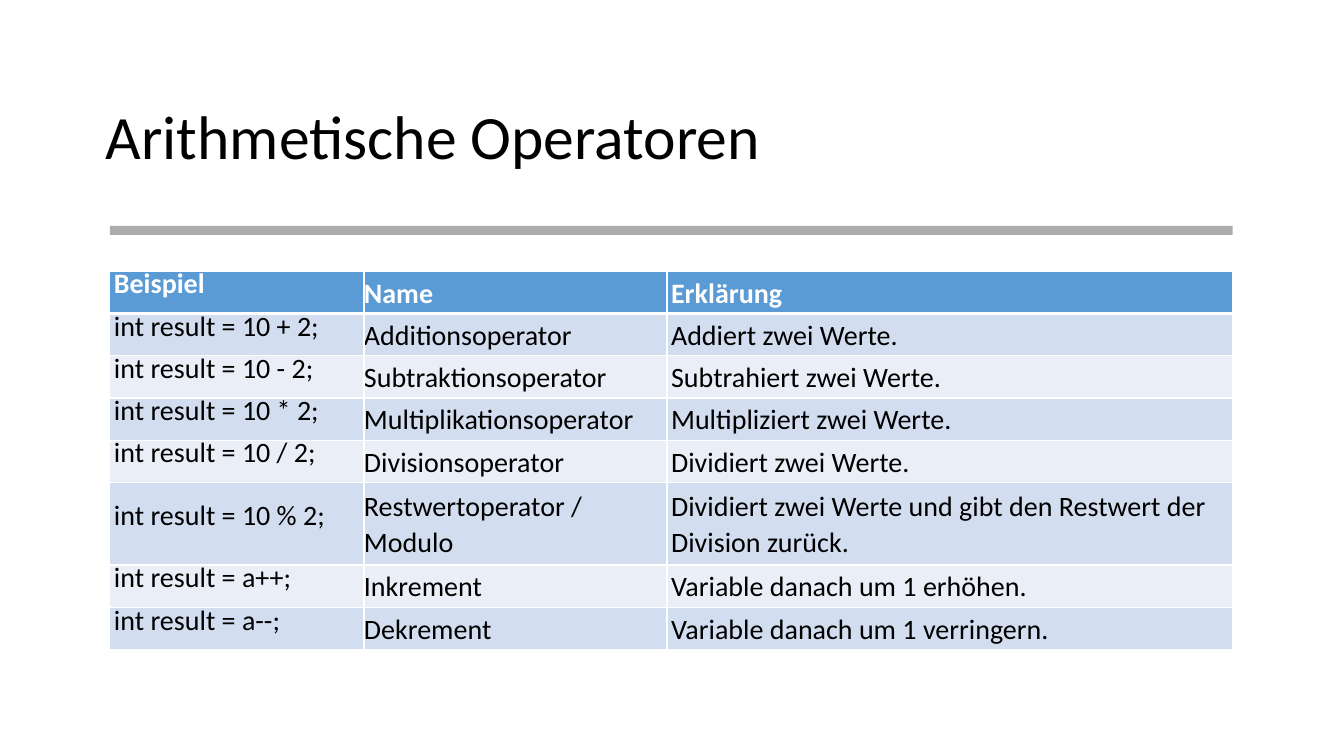
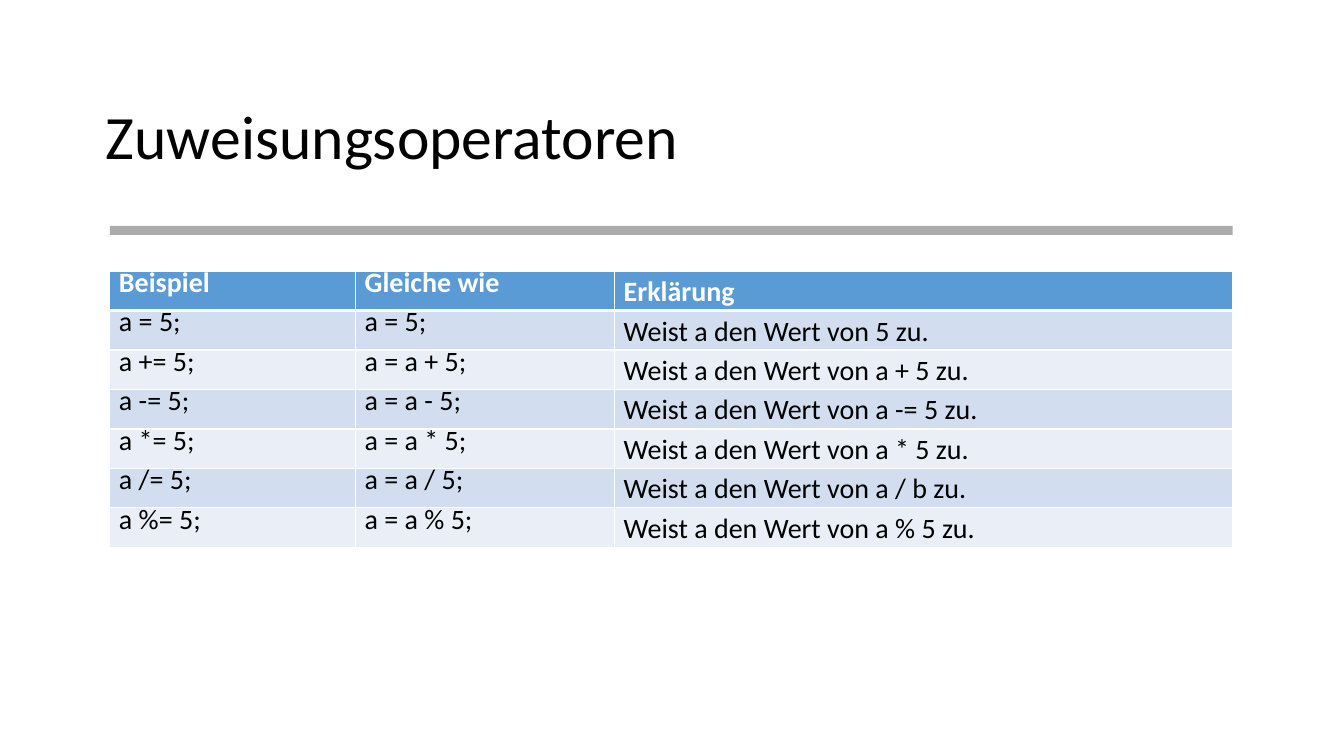
from dataclasses import dataclass
from lxml.etree import SubElement
from pptx import Presentation
from pptx.dml.color import RGBColor
from pptx.enum.shapes import MSO_SHAPE
from pptx.enum.text import MSO_ANCHOR, MSO_AUTO_SIZE, PP_ALIGN
from pptx.oxml.ns import qn
from pptx.util import Pt


@dataclass(frozen=True)
class Theme:
    font: str = "Calibri"
    ink: str = "000000"
    white: str = "FFFFFF"
    head: str = "5B9BD5"
    bands: tuple = ("D2DEEF", "EAEFF7")
    bar: str = "808080"
    alpha: int = 65
    title: int = 44
    text: int = 20
    thin: int = 1
    thick: int = 3


@dataclass(frozen=True)
class Box:
    left: float
    top: float
    width: float
    height: float

    def pts(self):
        return [Pt(v) for v in (self.left, self.top, self.width, self.height)]


THEME = Theme()
PAGE = Box(0, 0, 960, 540)
TITLE = Box(68.4, 47.5, 823, 104.4)
BAR = Box(78.5, 161.3, 802, 6.5)
GRID = Box(78.5, 193.7, 802, 0)

# Paragraph styles: code lines are set tight, prose lines loose
CODE = {"line_spacing": Pt(13), "space_after": Pt(1)}
PROSE = {"line_spacing": 1.07, "space_after": Pt(0)}

SLIDES = [
    {
        "title": "Arithmetische Operatoren",
        "cols": [181.5, 216.5, 404],
        "heights": [30.2] * 5 + [59] + [30.2] * 2,
        "pads": [2.9, 0, 2.9],
        "styles": [CODE, PROSE, PROSE],
        "rows": [
            ("Beispiel", "Name", "Erklärung"),
            ("int result = 10 + 2;", "Additionsoperator", "Addiert zwei Werte."),
            ("int result = 10 - 2;", "Subtraktionsoperator", "Subtrahiert zwei Werte."),
            ("int result = 10 * 2;", "Multiplikationsoperator", "Multipliziert zwei Werte."),
            ("int result = 10 / 2;", "Divisionsoperator", "Dividiert zwei Werte."),
            ("int result = 10 % 2;", "Restwertoperator / Modulo",
             "Dividiert zwei Werte und gibt den Restwert der Division zurück."),
            ("int result = a++;", "Inkrement", "Variable danach um 1 erhöhen."),
            ("int result = a--;", "Dekrement", "Variable danach um 1 verringern."),
        ],
    },
    {
        "title": "Zuweisungsoperatoren",
        "cols": [175.5, 185, 441.5],
        "heights": [28.2] * 7,
        "pads": [6.5] * 3,
        "styles": [CODE, CODE, PROSE],
        "rows": [
            ("Beispiel", "Gleiche wie", "Erklärung"),
            ("a = 5;", "a = 5;", "Weist a den Wert von 5 zu."),
            ("a += 5;", "a = a + 5;", "Weist a den Wert von a + 5 zu."),
            ("a -= 5;", "a = a - 5;", "Weist a den Wert von a -= 5 zu."),
            ("a *= 5;", "a = a * 5;", "Weist a den Wert von a * 5 zu."),
            ("a /= 5;", "a = a / 5;", "Weist a den Wert von a / b zu."),
            ("a %= 5;", "a = a % 5;", "Weist a den Wert von a % 5 zu."),
        ],
    },
]


def apply(item, values):
    for name, value in values.items():
        setattr(item, name, value)


def paint(fill, color):
    fill.solid()
    fill.fore_color.rgb = RGBColor.from_string(color)


def write(frame, text, size, color, style, bold=False):
    para = frame.paragraphs[0]
    apply(para, {"alignment": PP_ALIGN.LEFT, **style})
    run = para.add_run()
    run.text = text
    apply(run.font, {"name": THEME.font, "size": Pt(size), "bold": bold})
    run.font.color.rgb = RGBColor.from_string(color)


def edge(cell, widths):
    props = cell._tc.get_or_add_tcPr()
    for side, width in widths.items():
        line = SubElement(props, qn(f"a:ln{side}"), w=str(Pt(width)))
        fill = SubElement(line, qn("a:solidFill"))
        SubElement(fill, qn("a:srgbClr"), val=THEME.white)


def add_title(slide, box, text):
    shape = slide.shapes.title
    apply(shape, dict(zip(("left", "top", "width", "height"), box.pts())))
    frame = shape.text_frame
    apply(frame, {"word_wrap": True, "auto_size": MSO_AUTO_SIZE.NONE,
                  "vertical_anchor": MSO_ANCHOR.MIDDLE})
    write(frame, text, THEME.title, THEME.ink, {"line_spacing": 0.9})


def add_bar(slide, box):
    bar = slide.shapes.add_shape(MSO_SHAPE.RECTANGLE, *box.pts())
    bar.shadow.inherit = False
    bar.line.fill.background()
    paint(bar.fill, THEME.bar)
    color = bar.fill._xPr.find(f".//{qn('a:srgbClr')}")
    SubElement(color, qn("a:alpha"), val=str(THEME.alpha * 1000))


def add_cell(cell, text, row, pad, style):
    head = row == 0
    apply(cell, {"margin_left": Pt(pad), "margin_right": Pt(pad),
                 "margin_top": 0, "margin_bottom": 0,
                 "vertical_anchor": MSO_ANCHOR.MIDDLE})
    # The rule under the header is shared by the first two rows
    edge(cell, {"L": THEME.thin, "R": THEME.thin,
                "T": THEME.thick if row == 1 else THEME.thin,
                "B": THEME.thick if head else THEME.thin})
    paint(cell.fill, THEME.head if head else THEME.bands[(row - 1) % 2])
    write(cell.text_frame, text, THEME.text,
          THEME.white if head else THEME.ink, style, head)


def add_grid(slide, box, data):
    rows, cols, heights = data["rows"], data["cols"], data["heights"]
    area = Box(box.left, box.top, box.width, sum(heights))
    table = slide.shapes.add_table(len(rows), len(cols), *area.pts()).table
    for col, width in zip(table.columns, cols):
        col.width = Pt(width)
    for row, height in zip(table.rows, heights):
        row.height = Pt(height)
    for r, texts in enumerate(rows):
        for c, text in enumerate(texts):
            add_cell(table.cell(r, c), text, r, data["pads"][c], data["styles"][c])


def add_page(deck, data):
    slide = deck.slides.add_slide(deck.slide_layouts.get_by_name("Title Only"))
    add_title(slide, TITLE, data["title"])
    add_bar(slide, BAR)
    add_grid(slide, GRID, data)


def main():
    deck = Presentation()
    apply(deck, {"slide_width": Pt(PAGE.width), "slide_height": Pt(PAGE.height)})
    for data in SLIDES:
        add_page(deck, data)
    deck.save("out.pptx")


if __name__ == "__main__":
    main()
